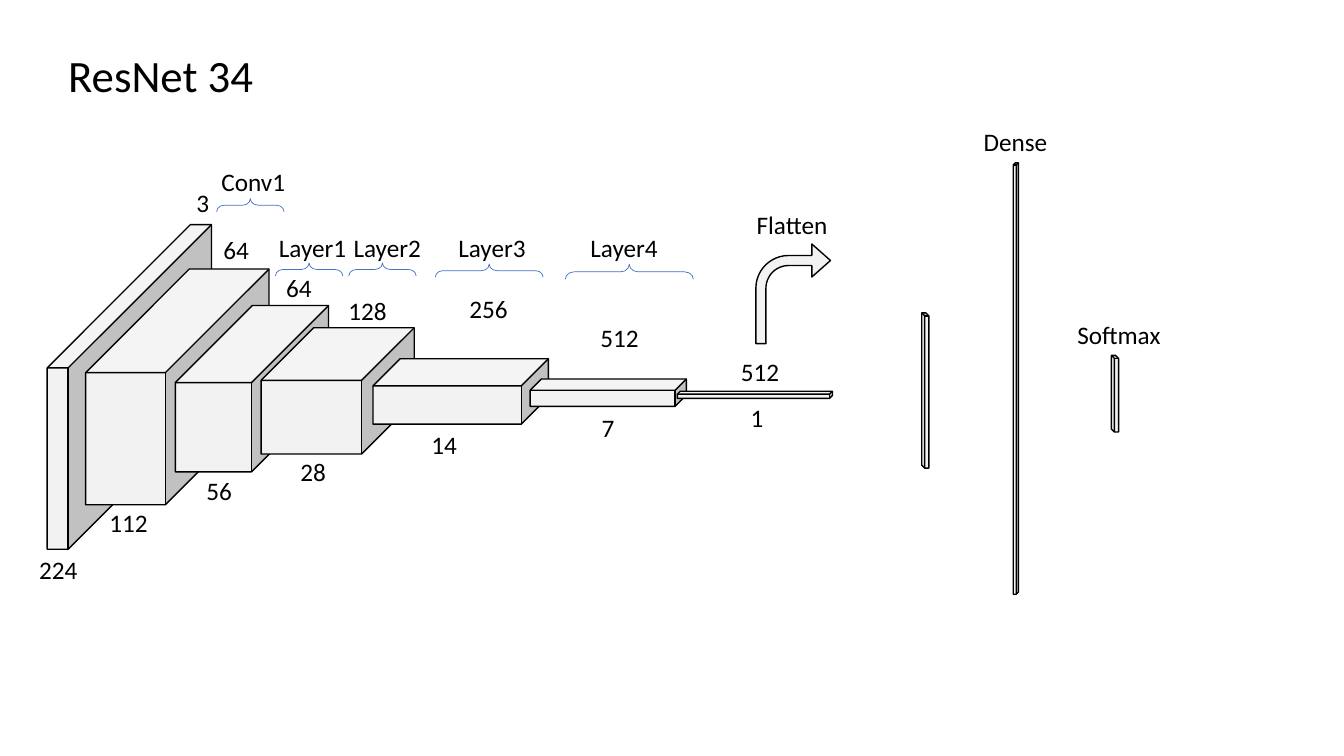
from pptx import Presentation
from pptx.dml.color import RGBColor
from pptx.enum.shapes import MSO_SHAPE
from pptx.enum.text import MSO_AUTO_SIZE
from pptx.util import Cm, Pt

CUBE, BRACE, ARROW = MSO_SHAPE.CUBE, MSO_SHAPE.RIGHT_BRACE, MSO_SHAPE.BENT_ARROW
FIT = MSO_AUTO_SIZE.SHAPE_TO_FIT_TEXT
COLORS = {"ink": "000000", "face": "F2F2F2", "brace": "4472C4"}


class Board:
    font = "Calibri"

    def __init__(self, slide):
        self.slide = slide

    def color(self, name):
        return RGBColor.from_string(COLORS[name])

    def shape(self, kind, box, adjust, line="ink", width=1, fill="face", turn=0):
        item = self.slide.shapes.add_shape(kind, *map(Cm, box))
        item.shadow.inherit = False
        item.rotation = turn
        for i, value in enumerate(adjust):
            item.adjustments[i] = value
        if fill:
            item.fill.solid()
            item.fill.fore_color.rgb = self.color(fill)
        else:
            item.fill.background()
        item.line.color.rgb = self.color(line)
        item.line.width = Pt(width)
        return item

    def cube(self, box, depth=0.414):
        return self.shape(CUBE, box, [depth])

    def bar(self, mid_x, mid_y, tall, thick, flip=False):
        """Upright bar: a long flat cube turned on its end."""
        box = (mid_x - tall / 2, mid_y - thick / 2, tall, thick)
        item = self.shape(CUBE, box, [0.414], turn=270)
        if flip:
            item.element.spPr.xfrm.set("flipV", "1")

    def brace(self, mid_x, mid_y, span, thick=0.33):
        box = (mid_x - thick / 2, mid_y - span / 2, thick, span)
        self.shape(BRACE, box, [0.583, 0.5], "brace", 0.5, None, 270)

    def text(self, words, left, top, width, height=1.03, size=18):
        box = self.slide.shapes.add_textbox(*map(Cm, (left, top, width, height)))
        frame = box.text_frame
        frame.word_wrap = False
        frame.auto_size = FIT
        para = frame.paragraphs[0]
        para.text = words
        para.font.name = self.font
        para.font.size = Pt(size)
        para.font.color.rgb = self.color("ink")

    def number(self, digits, left, top):
        self.text(digits, left, top, 0.51 + 0.33 * len(digits))


def main():
    deck = Presentation()
    deck.slide_width, deck.slide_height = Cm(33.87), Cm(19.05)
    board = Board(deck.slides.add_slide(deck.slide_layouts[6]))

    board.text("ResNet 34", 1.47, 1.09, 5.21, 1.63, 32)

    # Feature maps, from input to pooled vector
    for box, depth in [
        ((1.19, 5.66, 4.14, 8.18), 0.872),
        ((2.16, 6.78, 4.62, 5.94), 0.565),
        ((4.42, 7.7, 3.86, 4.19), 0.503),
        ((6.58, 8.26, 3.86, 3.18), 0.417),
        ((9.4, 9.04, 4.42, 1.65), 0.414),
        ((13.36, 9.55, 3.94, 0.69), 0.414),
        ((17.07, 9.86, 3.91, 0.18), 0.414),
    ]:
        board.cube(box, depth)

    # Flatten arrow and the upright vectors
    board.shape(ARROW, (19.05, 6.15, 1.88, 2.51), [0.135, 0.221, 0.25, 0.438])
    board.bar(23.32, 9.84, 3.91, 0.18)
    board.bar(25.6, 9.54, 10.87, 0.13, flip=True)
    board.bar(28.1, 9.92, 1.93, 0.18)

    # Braces over the stages
    for brace in [
        (6.31, 5.17, 1.7),
        (7.79, 6.79, 1.7),
        (9.64, 6.79, 1.7),
        (12.33, 6.82, 2.72),
        (15.86, 6.85, 3.23, 0.38),
    ]:
        board.brace(*brace)

    # Stage names
    for name, left, top, width in [
        ("Conv1", 5.33, 4.06, 2.13),
        ("Flatten", 18.82, 5.16, 2.34),
        ("Dense", 24.54, 3.07, 2.13),
        ("Softmax", 26.9, 7.92, 2.64),
    ]:
        board.text(name, left, top, width)
    for i, left in enumerate((6.78, 8.66, 11.3, 14.63), 1):
        board.text(f"Layer{i}", left, 5.72, 2.24)

    # Channel counts above, map sizes below
    for digits, left, top in [
        ("3", 4.7, 4.6),
        ("64", 5.38, 5.79),
        ("64", 6.96, 6.73),
        ("128", 8.53, 7.32),
        ("256", 11.58, 7.26),
        ("512", 14.88, 8),
        ("512", 18.42, 8.86),
        ("224", 0.74, 13.84),
        ("112", 2.51, 12.65),
        ("56", 4.95, 11.86),
        ("28", 7.32, 11.38),
        ("14", 10.62, 10.69),
        ("7", 14.91, 10.26),
        ("1", 18.67, 10.01),
    ]:
        board.number(digits, left, top)

    deck.save("out.pptx")


if __name__ == "__main__":
    main()
